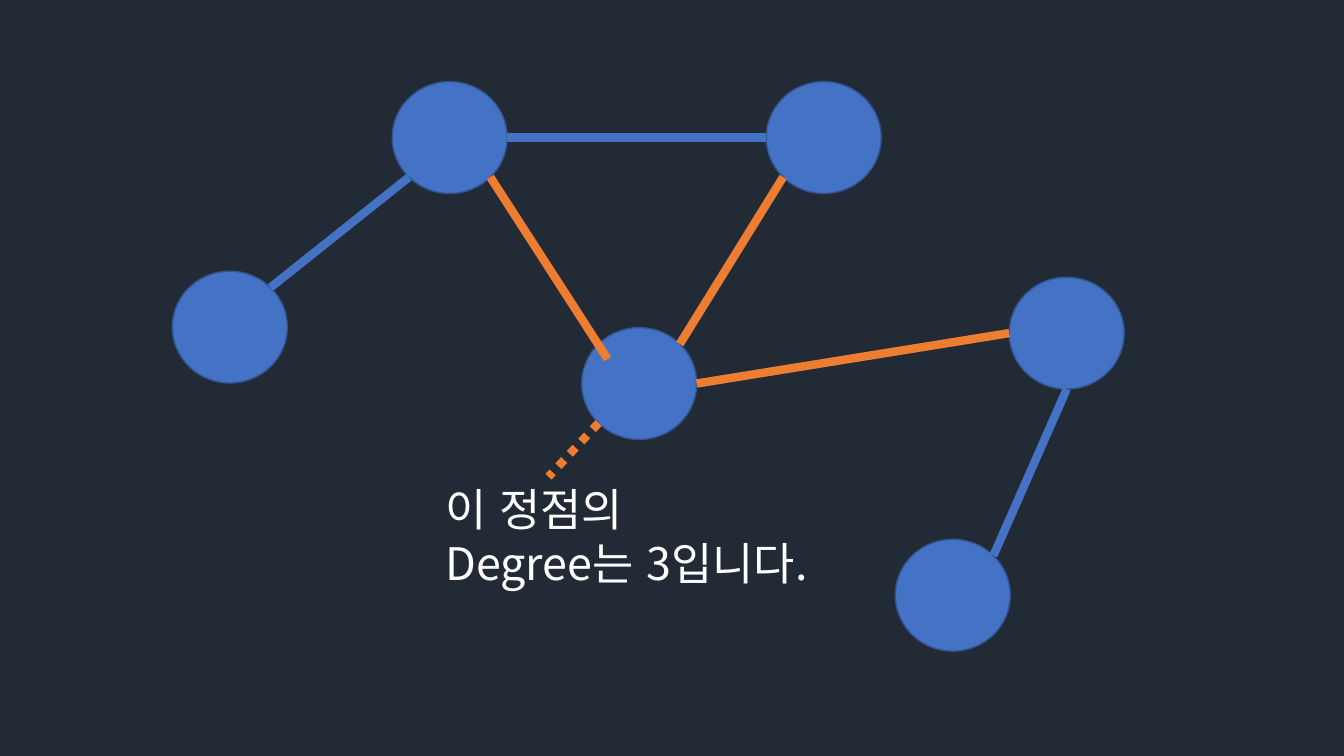
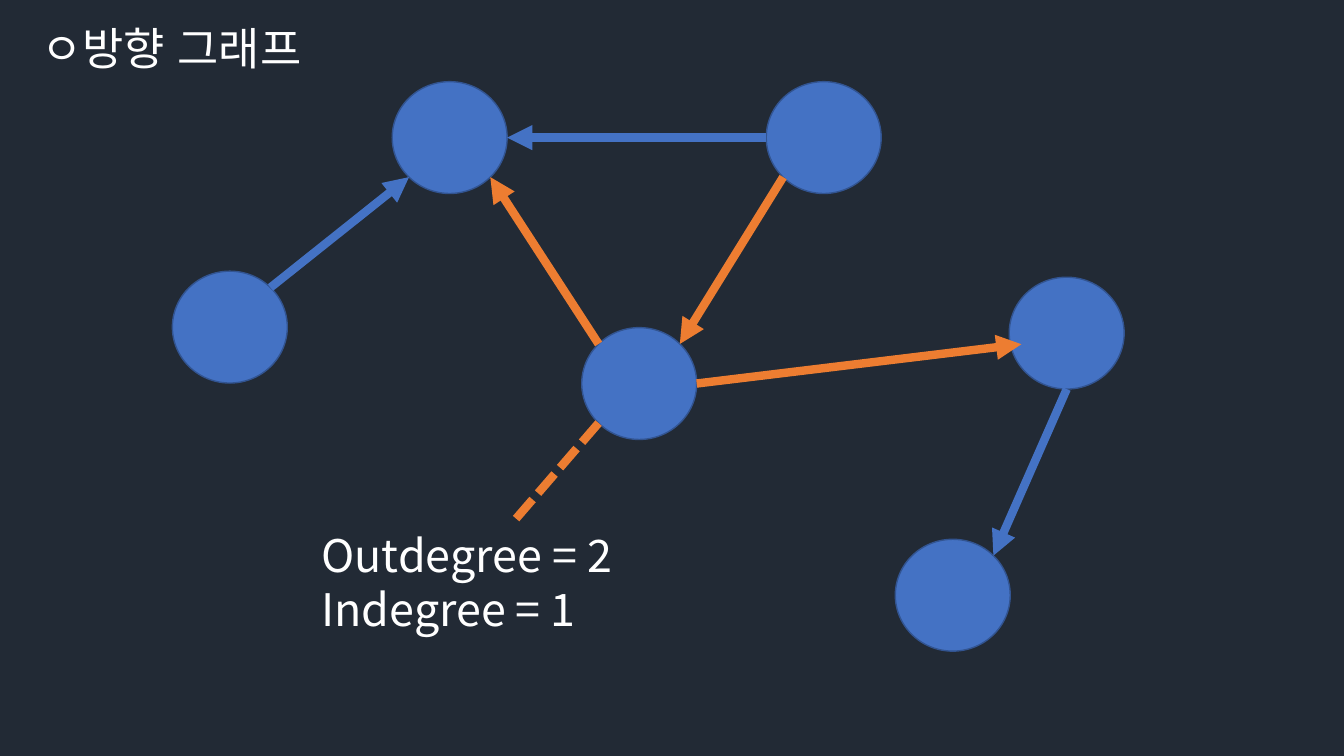
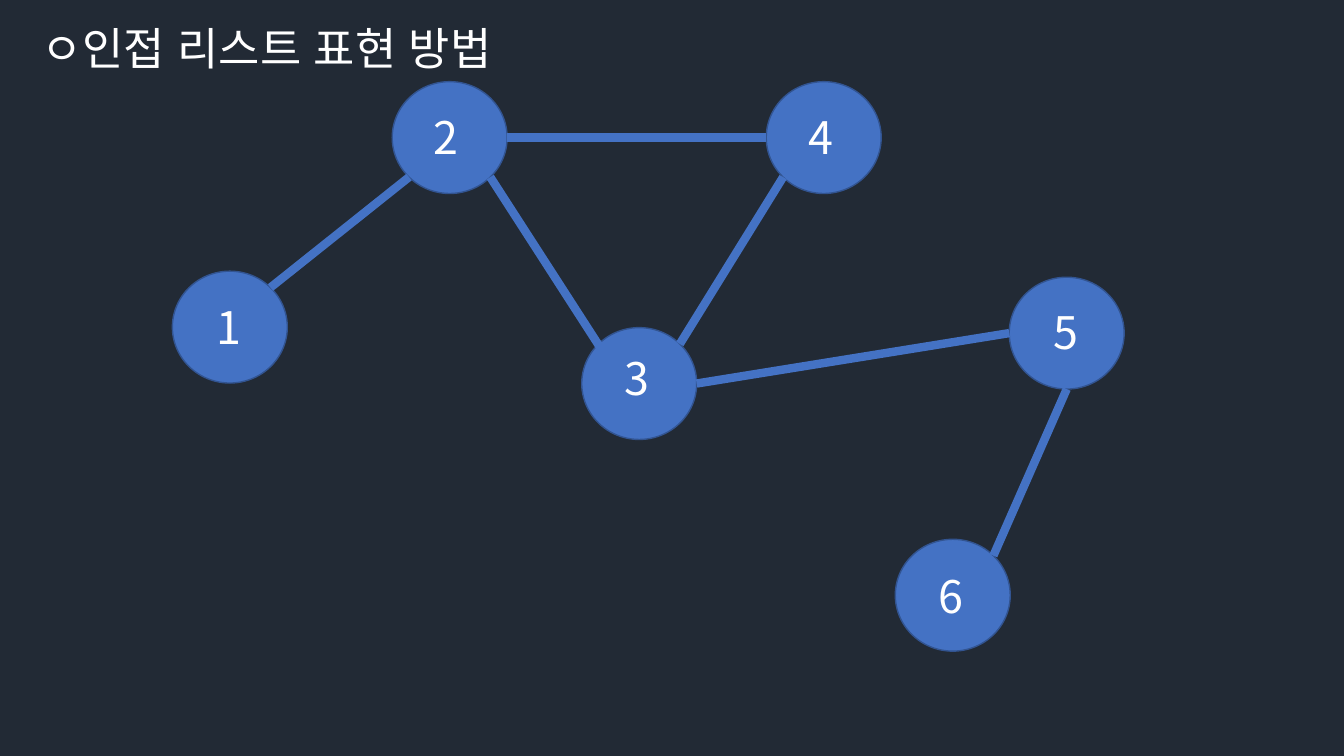
from dataclasses import dataclass
from math import sqrt

from lxml import etree
from pptx import Presentation
from pptx.dml.color import RGBColor
from pptx.enum.dml import MSO_LINE
from pptx.enum.lang import MSO_LANGUAGE_ID
from pptx.enum.shapes import MSO_CONNECTOR, MSO_SHAPE
from pptx.enum.text import MSO_ANCHOR, MSO_AUTO_SIZE, PP_ALIGN
from pptx.oxml.ns import qn
from pptx.util import Inches, Pt

STRAIGHT = MSO_CONNECTOR.STRAIGHT
OVAL = MSO_SHAPE.OVAL
DOTTED = MSO_LINE.ROUND_DOT
DASHED = MSO_LINE.SQUARE_DOT
KOREAN = MSO_LANGUAGE_ID.KOREAN
TOP = MSO_ANCHOR.TOP
LEFT = PP_ALIGN.LEFT
GROW = MSO_AUTO_SIZE.SHAPE_TO_FIT_TEXT
TITLE_ONLY, BLANK = 5, 6


@dataclass(frozen=True)
class Theme:
    background: RGBColor = RGBColor(0x22, 0x2A, 0x35)
    node: RGBColor = RGBColor(0x44, 0x72, 0xC4)
    outline: RGBColor = RGBColor(0x32, 0x54, 0x91)
    accent: RGBColor = RGBColor(0xED, 0x7D, 0x31)
    text: RGBColor = RGBColor(0xFF, 0xFF, 0xFF)
    font: str = "Noto Sans CJK KR"
    size: Pt = Pt(32)
    outline_width: Pt = Pt(1)
    edge_width: Pt = Pt(6)


THEME = Theme()
GRAPH_BOX = (1.71, 0.81)
NODE_W, NODE_H = 1.14, 1.11
LABEL_W, LINE_H = 0.71, 0.64
NOTE_W, NOTE_H = 3.98, 1.18
FOCUS = 3
NODES = {
    1: (0, 1.88),
    2: (2.18, 0),
    3: (4.06, 2.44),
    6: (7.17, 4.54),
    4: (5.89, 0),
    5: (8.3, 1.94),
}
LABEL_OFFSETS = {
    1: (0.34, 0.23),
    2: (0.31, 0.23),
    3: (0.33, 0.18),
    4: (0.32, 0.23),
    5: (0.34, 0.22),
    6: (0.33, 0.24),
}
DIAGONAL = 1 / sqrt(2)
SITES = {
    "left": (-1, 0),
    "right": (1, 0),
    "bottom": (0, 1),
    "top_left": (-DIAGONAL, -DIAGONAL),
    "top_right": (DIAGONAL, -DIAGONAL),
    "bottom_left": (-DIAGONAL, DIAGONAL),
    "bottom_right": (DIAGONAL, DIAGONAL),
}
EDGES = [
    ((1, "top_right"), (2, "bottom_left")),
    ((3, "top_left"), (2, "bottom_right")),
    ((4, "left"), (2, "right")),
    ((4, "bottom_left"), (3, "top_right")),
    ((3, "right"), (5, "left")),
    ((5, "bottom"), (6, "top_right")),
]
INNER_END = {(3, "top_left"): (0.09, 0.15)}
INNER_ARROW = {(5, "left"): (0.12, 0.11)}


def write(sp, lines):
    tf = sp.text_frame
    tf.word_wrap = True
    tf.auto_size = GROW
    tf.vertical_anchor = TOP
    for i, line in enumerate(lines):
        p = tf.add_paragraph() if i else tf.paragraphs[0]
        p.alignment = LEFT
        p.line_spacing = 1.0
        p.space_before = Pt(0)
        r = p.add_run()
        r.text = line
        r.font.name = THEME.font
        r.font.size = THEME.size
        r.font.color.rgb = THEME.text
        r.font.language_id = KOREAN
        ea = etree.SubElement(r.font._element, qn("a:ea"))
        ea.set("typeface", THEME.font)


def add_text(slide, x, y, w, h, lines):
    sp = slide.shapes.add_textbox(Inches(x), Inches(y), Inches(w), Inches(h))
    write(sp, lines)
    return sp


def set_title(slide, text, width):
    sp = slide.shapes.title
    sp.left, sp.top = Inches(0.31), Inches(0.16)
    sp.width, sp.height = Inches(width), Inches(LINE_H)
    write(sp, [text])


def add_line(slide, start, end, color, arrow=False, dash=None):
    points = [Inches(v) for v in (*start, *end)]
    cxn = slide.shapes.add_connector(STRAIGHT, *points)
    cxn.line.color.rgb = color
    cxn.line.width = THEME.edge_width
    if dash:
        cxn.line.dash_style = dash
    if arrow:
        tail = etree.SubElement(cxn.line._get_or_add_ln(), qn("a:tailEnd"))
        tail.set("type", "triangle")
    etree.SubElement(cxn._element.spPr, qn("a:effectLst"))
    return cxn


def site_point(box, node, site, nudge=(0, 0)):
    x, y = NODES[node]
    sx, sy = SITES[site]
    return (box[0] + x + NODE_W / 2 * (1 + sx) + nudge[0],
            box[1] + y + NODE_H / 2 * (1 + sy) + nudge[1])


def add_graph(slide, box, focus=None, arrow=False, nudges=None, labels=False):
    nudges = nudges or {}
    for x, y in NODES.values():
        sp = slide.shapes.add_shape(OVAL, Inches(box[0] + x), Inches(box[1] + y),
                                    Inches(NODE_W), Inches(NODE_H))
        sp.shadow.inherit = False
        sp.fill.solid()
        sp.fill.fore_color.rgb = THEME.node
        sp.line.color.rgb = THEME.outline
        sp.line.width = THEME.outline_width
    for edge in EDGES:
        start, end = [site_point(box, *e, nudges.get(e, (0, 0))) for e in edge]
        touches_focus = focus in (edge[0][0], edge[1][0])
        add_line(slide, start, end,
                 THEME.accent if touches_focus else THEME.node, arrow)
    if labels:
        for node, (dx, dy) in LABEL_OFFSETS.items():
            x, y = NODES[node]
            add_text(slide, box[0] + x + dx, box[1] + y + dy,
                     LABEL_W, LINE_H, [str(node)])


def add_note(slide, x, y, lines, pointer_x, dash):
    sp = add_text(slide, x, y, NOTE_W, NOTE_H, lines)
    start = site_point(GRAPH_BOX, FOCUS, "bottom_left")
    cxn = add_line(slide, start, (x + pointer_x, y), THEME.accent, dash=dash)
    if pointer_x == NOTE_W / 2:
        cxn.end_connect(sp, 0)


def degree_slide(prs):
    slide = prs.slides.add_slide(prs.slide_layouts[BLANK])
    add_graph(slide, GRAPH_BOX, focus=FOCUS, nudges=INNER_END)
    add_note(slide, 4.32, 4.73, ["이 정점의", "Degree는 3입니다."], 1.12, DOTTED)


def directed_slide(prs):
    slide = prs.slides.add_slide(prs.slide_layouts[TITLE_ONLY])
    set_title(slide, "ㅇ방향 그래프", 3.98)
    add_graph(slide, GRAPH_BOX, focus=FOCUS, arrow=True, nudges=INNER_ARROW)
    add_note(slide, 3.09, 5.19, ["Outdegree = 2", "Indegree = 1"],
             NOTE_W / 2, DASHED)


def adjacency_slide(prs):
    slide = prs.slides.add_slide(prs.slide_layouts[TITLE_ONLY])
    set_title(slide, "ㅇ인접 리스트 표현 방법", 7.29)
    add_graph(slide, GRAPH_BOX, nudges=INNER_END, labels=True)


def main():
    prs = Presentation()
    prs.slide_width, prs.slide_height = Inches(13.33), Inches(7.5)
    fill = prs.slide_master.background.fill
    fill.solid()
    fill.fore_color.rgb = THEME.background
    degree_slide(prs)
    directed_slide(prs)
    adjacency_slide(prs)
    prs.save("out.pptx")


if __name__ == "__main__":
    main()
